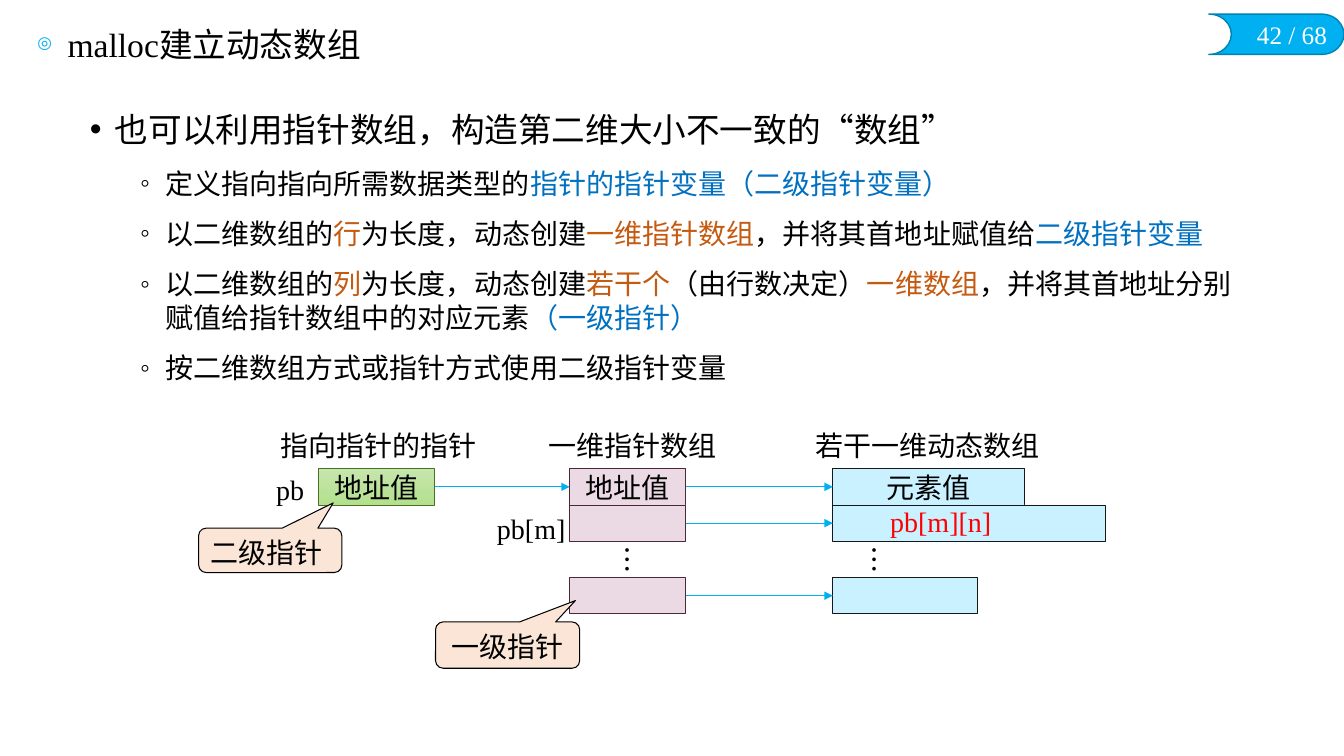
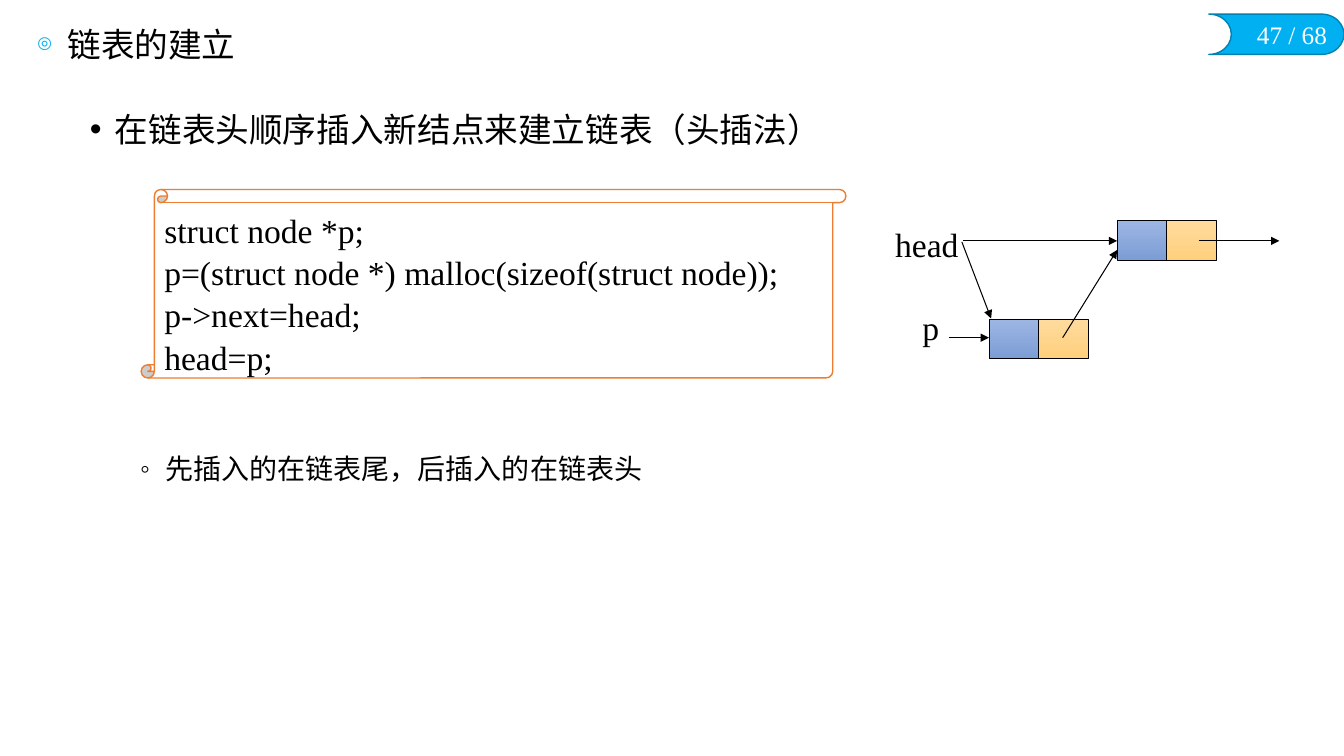
from lxml.etree import SubElement
from pptx import Presentation
from pptx.dml.color import RGBColor
from pptx.enum.lang import MSO_LANGUAGE_ID
from pptx.enum.shapes import MSO_CONNECTOR, MSO_SHAPE
from pptx.enum.text import MSO_ANCHOR, MSO_AUTO_SIZE, PP_ALIGN
from pptx.oxml.ns import qn
from pptx.util import Inches, Pt

FONT = "Times New Roman"
PAGE_COUNT = 68
COLORS = {
    "black": "000000",
    "white": "FFFFFF",
    "red": "FF0000",
    "blue": "0070C0",
    "rust": "C55A11",
    "accent": "00B0F0",
    "accent_edge": "0082B2",
    "green_top": "C6E6AD",
    "green_bottom": "B3E08D",
    "green_edge": "49721E",
    "mauve": "EBDAE3",
    "mauve_edge": "4A2839",
    "ice": "C9F1FF",
    "ice_edge": "181717",
    "peach": "FBE5D6",
    "orange": "ED7D31",
    "data_top": "9DB5E3",
    "data_bottom": "7C9DD5",
    "next_top": "FFDB9E",
    "next_bottom": "FFD07C",
}


def rgb(name):
    return RGBColor.from_string(COLORS[name])


def add_bullet(paragraph, character, indent, hanging, color=None, percent=None):
    properties = paragraph._p.get_or_add_pPr()
    properties.set("marL", str(Inches(indent)))
    properties.set("indent", str(-Inches(hanging)))
    if color:
        bullet_color = SubElement(properties, qn("a:buClr"))
        SubElement(bullet_color, qn("a:srgbClr")).set("val", COLORS[color])
    if percent:
        SubElement(properties, qn("a:buSzPct")).set("val", str(percent * 1000))
    SubElement(properties, qn("a:buChar")).set("char", character)


def write(frame, text, size=20, color="black", align=PP_ALIGN.LEFT, level=0,
          bullet=None, before=0, after=0, spacing=1.0):
    first = frame.paragraphs[0]
    paragraph = frame.add_paragraph() if first.runs else first
    paragraph.level = level
    if bullet:
        add_bullet(paragraph, **bullet)
    paragraph.alignment = align
    paragraph.line_spacing = spacing
    paragraph.space_before = Pt(before)
    paragraph.space_after = Pt(after)
    pieces = [(text, color)] if isinstance(text, str) else text
    for piece, piece_color in pieces:
        run = paragraph.add_run()
        run.text = piece
        run.font.name = FONT
        run.font.size = Pt(size)
        run.font.color.rgb = rgb(piece_color)
        run.font.language_id = MSO_LANGUAGE_ID.SIMPLIFIED_CHINESE


def add_label(slide, text, left, top, width, height=0.44, wrap=False,
              anchor=MSO_ANCHOR.TOP, **text_format):
    box = slide.shapes.add_textbox(Inches(left), Inches(top), Inches(width), Inches(height))
    frame = box.text_frame
    frame.word_wrap = wrap
    frame.vertical_anchor = anchor
    write(frame, text, **text_format)


def add_box(slide, left, top, width, height, fill, line, line_width=0.5,
            kind=MSO_SHAPE.RECTANGLE, adjustments=()):
    shape = slide.shapes.add_shape(kind, Inches(left), Inches(top), Inches(width), Inches(height))
    shape.shadow.inherit = False
    for index, value in enumerate(adjustments):
        shape.adjustments[index] = value
    if isinstance(fill, str):
        shape.fill.solid()
        shape.fill.fore_color.rgb = rgb(fill)
    else:
        shape.fill.gradient()
        shape.fill.gradient_angle = 270
        for stop, color in zip(shape.fill.gradient_stops, fill):
            stop.color.rgb = rgb(color)
    shape.line.color.rgb = rgb(line)
    shape.line.width = Pt(line_width)
    return shape


def add_cell(slide, left, top, width, height, fill, line, text=None):
    cell = add_box(slide, left, top, width, height, fill, line)
    if text:
        cell.text_frame.vertical_anchor = MSO_ANCHOR.MIDDLE
        write(cell.text_frame, text, align=PP_ALIGN.CENTER)


def add_callout(slide, text, left, top, width, height, pointer, align):
    callout = add_box(slide, left, top, width, height, "peach", "black", 0.75,
                      MSO_SHAPE.ROUNDED_RECTANGULAR_CALLOUT, pointer)
    callout.text_frame.vertical_anchor = MSO_ANCHOR.TOP
    write(callout.text_frame, text, align=align)


def add_arrow(slide, start, end, color="black", width=0.75):
    points = [Inches(value) for value in (*start, *end)]
    arrow = slide.shapes.add_connector(MSO_CONNECTOR.STRAIGHT, *points)
    arrow.line.color.rgb = rgb(color)
    arrow.line.width = Pt(width)
    properties = arrow.element.spPr
    SubElement(properties.find(qn("a:ln")), qn("a:tailEnd")).set("type", "triangle")
    SubElement(properties, qn("a:effectLst"))


def set_up_layout(presentation):
    layout = presentation.slide_layouts[1]
    places = ((0.27, 0.23, 6.37, 0.46), (0.79, 1.03, 11.71, 6.07))
    for placeholder, place in zip(layout.placeholders, places):
        placeholder.left, placeholder.top, placeholder.width, placeholder.height = map(Inches, place)
    return layout


def add_slide(presentation, layout, number, title, heading):
    slide = presentation.slides.add_slide(layout)
    badge = add_box(slide, 11.99, 0.14, 1.34, 0.4, "accent", "accent_edge", 1,
                    MSO_SHAPE.FLOWCHART_STORED_DATA)
    badge.element.spPr.find(qn("a:xfrm")).set("flipH", "1")
    add_label(slide, f"{number} / {PAGE_COUNT}", 12.31, 0.14, 0.95, 0.4,
              size=18, color="white", align=PP_ALIGN.RIGHT)
    title_frame = slide.shapes.title.text_frame
    title_frame.auto_size = MSO_AUTO_SIZE.NONE
    title_frame.vertical_anchor = MSO_ANCHOR.MIDDLE
    ring = dict(character="◎", indent=0.3, hanging=0.3, color="accent", percent=50)
    write(title_frame, title, size=24, bullet=ring, spacing=0.9)
    body = slide.placeholders[1].text_frame
    body.auto_size = MSO_AUTO_SIZE.NONE
    write(body, heading, size=24, after=6,
          bullet=dict(character="•", indent=0.25, hanging=0.25))
    return slide, body


def write_point(body, text, before=6):
    write(body, text, level=1, before=before, after=6,
          bullet=dict(character="◦", indent=0.75, hanging=0.25))


def draw_pointer_diagram(slide):
    top, height = 4.65, 0.36
    pointer_left, array_left, data_left = 3.16, 5.65, 8.26
    cell_width = 1.15

    for text, left, width in (("指向指针的指针", 2.68, 2.17),
                              ("一维指针数组", 5.34, 1.88),
                              ("若干一维动态数组", 7.99, 2.45)):
        add_label(slide, text, left, 4.2, width)

    add_cell(slide, pointer_left, top, cell_width, height,
             ("green_top", "green_bottom"), "green_edge", "地址值")
    add_arrow(slide, (pointer_left + cell_width, top + height / 2),
              (array_left, top + height / 2), "accent", 0.5)

    rows = ((0, 1.9, "地址值", "元素值"), (1, 2.7, None, None), (3, 1.43, None, None))
    for row, data_width, address, element in rows:
        row_top = top + row * height
        middle = row_top + height / 2
        add_cell(slide, array_left, row_top, cell_width, height, "mauve", "mauve_edge", address)
        add_cell(slide, data_left, row_top, data_width, height, "ice", "ice_edge", element)
        add_arrow(slide, (array_left + cell_width, middle), (data_left, middle), "accent", 0.5)

    for left in (array_left, 8.1):
        add_label(slide, "︙", left, top + 2 * height, cell_width, height, wrap=True,
                  anchor=MSO_ANCHOR.MIDDLE, align=PP_ALIGN.CENTER)

    add_callout(slide, "二级指针", 1.97, 5.24, 1.42, 0.44, (0.44, -1.07), PP_ALIGN.LEFT)
    add_callout(slide, "一级指针", 4.32, 6.17, 1.43, 0.46, (0.47, -0.96), PP_ALIGN.CENTER)
    add_label(slide, "pb", 2.64, 4.64, 0.48)
    add_label(slide, "pb[m]", 4.83, 5.03, 0.89)
    add_label(slide, "pb[m][n]", 8.73, 4.96, 1.21, color="red")


def draw_code_scroll(slide, lines):
    scroll = add_box(slide, 1.4, 1.88, 6.99, 1.87, "white", "orange", 1,
                     MSO_SHAPE.VERTICAL_SCROLL, (0.07,))
    scroll.text_frame.vertical_anchor = MSO_ANCHOR.TOP
    for line in lines:
        write(scroll.text_frame, line, size=24, spacing=1.05)


def draw_list_node(slide, left, top):
    width, height = 0.49, 0.39
    for index, part in enumerate(("data", "next")):
        add_cell(slide, left + index * width, top, width, height,
                 (f"{part}_top", f"{part}_bottom"), "black")


def draw_linked_list(slide):
    draw_list_node(slide, 11.08, 2.19)
    draw_list_node(slide, 9.81, 3.17)
    add_label(slide, "head", 8.78, 2.17, 0.86, 0.5, wrap=True, size=24)
    add_label(slide, "p", 9.05, 3, 0.42, 0.5, wrap=True, size=24)
    for start, end in (((11.89, 2.39), (12.69, 2.39)),
                       ((9.41, 3.35), (9.81, 3.35)),
                       ((9.54, 2.4), (9.83, 3.16)),
                       ((9.55, 2.39), (11.08, 2.39)),
                       ((10.54, 3.35), (11.08, 2.48))):
        add_arrow(slide, start, end)


def build_array_slide(presentation, layout):
    slide, body = add_slide(presentation, layout, 42, "malloc建立动态数组",
                            "也可以利用指针数组，构造第二维大小不一致的“数组”")
    points = (
        [("定义指向指向所需数据类型的", "black"), ("指针的指针变量（二级指针变量）", "blue")],
        [("以二维数组的", "black"), ("行", "rust"), ("为长度，动态创建", "black"),
         ("一维指针数组", "rust"), ("，并将其首地址赋值给", "black"), ("二级指针变量", "blue")],
        [("以二维数组的", "black"), ("列", "rust"), ("为长度，动态创建", "black"),
         ("若干个", "rust"), ("（由行数决定）", "black"), ("一维数组", "rust"),
         ("，并将其首地址分别赋值给指针数组中的对应元素", "black"), ("（一级指针）", "blue")],
        "按二维数组方式或指针方式使用二级指针变量",
    )
    for point in points:
        write_point(body, point)
    draw_pointer_diagram(slide)


def build_list_slide(presentation, layout):
    slide, body = add_slide(presentation, layout, 47, "链表的建立",
                            "在链表头顺序插入新结点来建立链表（头插法）")
    write_point(body, "先插入的在链表尾，后插入的在链表头", before=210)
    draw_code_scroll(slide, ("struct node *p;",
                             "p=(struct node *) malloc(sizeof(struct node));",
                             "p->next=head;",
                             "head=p;"))
    draw_linked_list(slide)


def main():
    presentation = Presentation()
    presentation.slide_width = Inches(13.33)
    presentation.slide_height = Inches(7.5)
    layout = set_up_layout(presentation)
    build_array_slide(presentation, layout)
    build_list_slide(presentation, layout)
    presentation.save("out.pptx")


if __name__ == "__main__":
    main()
